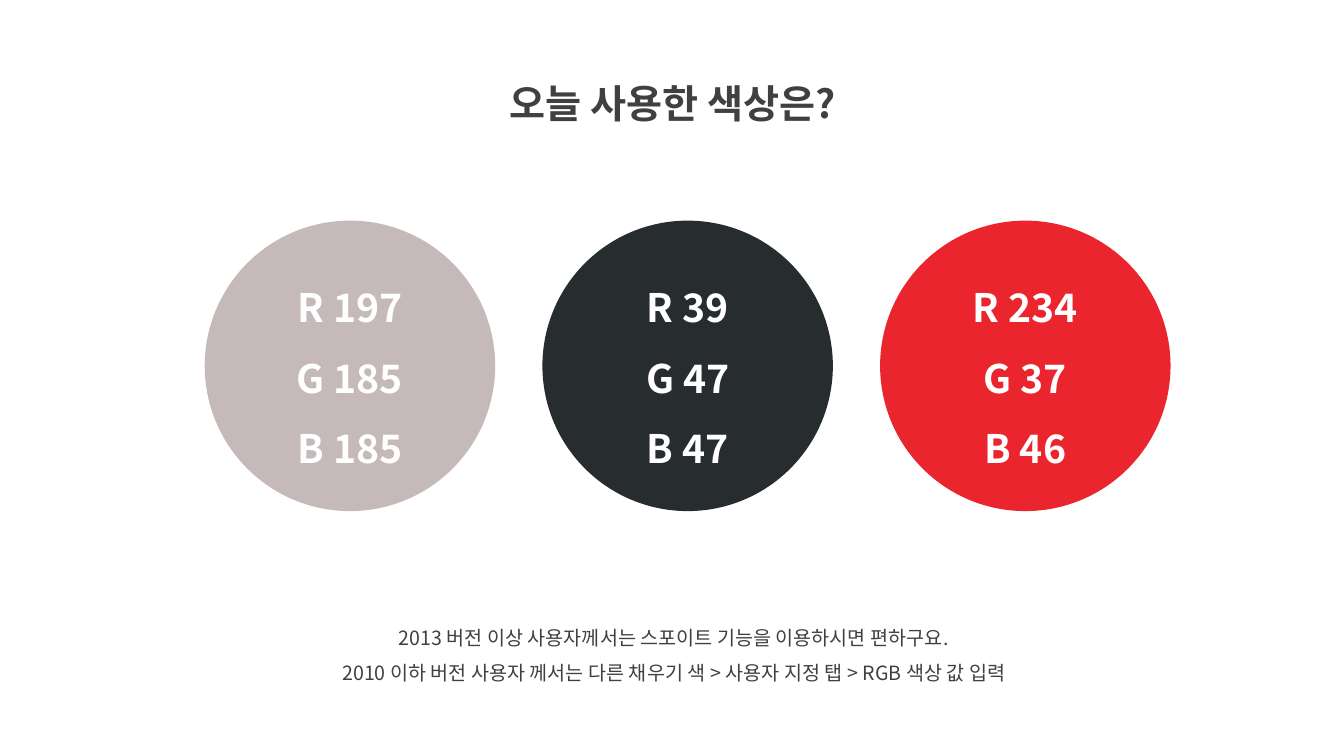
from lxml.etree import SubElement
from pptx import Presentation
from pptx.dml.color import RGBColor
from pptx.enum.shapes import MSO_SHAPE
from pptx.enum.text import MSO_ANCHOR, MSO_AUTO_SIZE, PP_ALIGN
from pptx.oxml.ns import qn
from pptx.util import Cm, Pt

FONT = "Noto Sans CJK KR"
COLORS = {
    "text": "404040",
    "white": "FFFFFF",
    "taupe": "C5B9B9",
    "charcoal": "272C2F",
    "red": "EA252E",
}
SWATCHES = [
    ("taupe", (197, 185, 185)),
    ("charcoal", (39, 47, 47)),
    ("red", (234, 37, 46)),
]
DIAMETER, FIRST_LEFT, PITCH, CIRCLE_TOP = 7.32, 5.16, 8.51, 5.56


def color(name):
    """Return the named colour of the slide."""
    return RGBColor.from_string(COLORS[name])


def write_text(shape, text, size, color_name, bold, anchor=MSO_ANCHOR.TOP):
    """Fill a shape with centred lines at one and a half line spacing."""
    frame = shape.text_frame
    frame.text = text
    frame.word_wrap = True
    frame.vertical_anchor = anchor
    for para in frame.paragraphs:
        para.alignment = PP_ALIGN.CENTER
        para.line_spacing = 1.5
        for span in para.runs:
            span.font.name = FONT
            span.font.size = Pt(size)
            span.font.bold = bold
            span.font.color.rgb = color(color_name)
            # Hangul takes its typeface from the East Asian font slot.
            SubElement(span.font._element, qn("a:ea"), typeface=FONT)


def add_title(page, text):
    """Place and format the title placeholder."""
    title = page.shapes.title
    title.left, title.top = Cm(11.07), Cm(1.27)
    title.width, title.height = Cm(11.76), Cm(1.83)
    write_text(title, text, 28, "text", True)
    title.text_frame.auto_size = MSO_AUTO_SIZE.SHAPE_TO_FIT_TEXT


def add_swatch(page, left, fill, values):
    """Draw a colour circle labelled with its RGB values."""
    circle = page.shapes.add_shape(
        MSO_SHAPE.OVAL, Cm(left), Cm(CIRCLE_TOP), Cm(DIAMETER), Cm(DIAMETER))
    circle.shadow.inherit = False
    circle.fill.solid()
    circle.fill.fore_color.rgb = color(fill)
    circle.line.fill.background()
    label = "\n".join(f"{channel} {value}" for channel, value in zip("RGB", values))
    write_text(circle, label, 28, "white", True, MSO_ANCHOR.MIDDLE)


def add_note(page, text):
    """Add the usage note below the circles."""
    box = page.shapes.add_textbox(Cm(6.83), Cm(15.34), Cm(20.3), Cm(2.06))
    write_text(box, text, 14, "text", False)
    box.text_frame.auto_size = MSO_AUTO_SIZE.SHAPE_TO_FIT_TEXT


def main():
    """Build the colour summary slide."""
    deck = Presentation()
    deck.slide_width, deck.slide_height = Cm(33.87), Cm(19.05)
    page = deck.slides.add_slide(deck.slide_layouts[5])
    add_title(page, "오늘 사용한 색상은?")
    for index, (fill, values) in enumerate(SWATCHES):
        add_swatch(page, FIRST_LEFT + index * PITCH, fill, values)
    add_note(page, "2013 버전 이상 사용자께서는 스포이트 기능을 이용하시면 편하구요.\n"
                   "2010 이하 버전 사용자 께서는 다른 채우기 색 > 사용자 지정 탭 > RGB 색상 값 입력")
    deck.save("out.pptx")


main()
